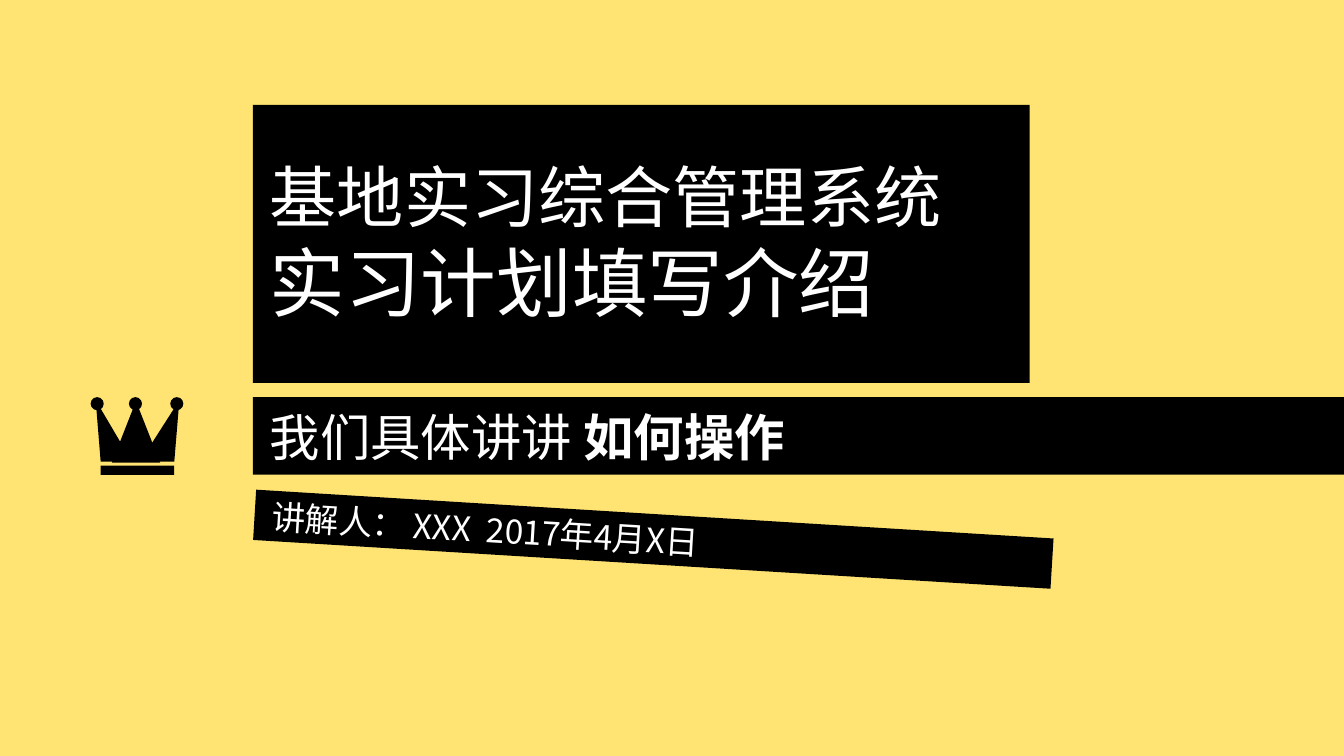
from lxml.etree import SubElement
from pptx import Presentation
from pptx.dml.color import RGBColor
from pptx.enum.shapes import MSO_SHAPE
from pptx.enum.text import MSO_ANCHOR, PP_ALIGN
from pptx.oxml.ns import qn
from pptx.util import Inches, Pt

COLORS = {"yellow": "FFE473", "black": "000000", "white": "FFFFFF"}
FONT = "Noto Sans CJK SC"


def paint_black(s):
    s.shadow.inherit = False
    s.fill.solid()
    s.fill.fore_color.rgb = RGBColor.from_string(COLORS["black"])
    s.line.fill.background()
    return s


def add_run(p, text, size, bold=False):
    p.alignment = PP_ALIGN.LEFT
    r = p.add_run()
    r.text = text
    r.font.size = Pt(size)
    r.font.bold = bold
    r.font.name = FONT
    r.font.color.rgb = RGBColor.from_string(COLORS["white"])
    SubElement(r.font._element, qn("a:ea")).set("typeface", FONT)


prs = Presentation()
prs.slide_width = Inches(13.34)
prs.slide_height = Inches(7.5)
slide = prs.slides.add_slide(prs.slide_layouts[6])
slide.background.fill.solid()
slide.background.fill.fore_color.rgb = RGBColor.from_string(COLORS["yellow"])

crown = slide.shapes.add_group_shape().shapes
paint_black(crown.add_shape(MSO_SHAPE.ISOSCELES_TRIANGLE,
                            Inches(1.11), Inches(3.98), Inches(0.48), Inches(0.61)))
for base, tip, inner in [(1, 0.95, 1.31), (1.73, 1.78, 1.39)]:
    fb = crown.build_freeform(Inches(base), Inches(4.58))
    fb.add_line_segments([(Inches(tip), Inches(3.97)), (Inches(inner), Inches(4.58))])
    paint_black(fb.convert_to_shape())
for x in [0.9, 1.28, 1.69]:
    paint_black(crown.add_shape(MSO_SHAPE.OVAL,
                                Inches(x), Inches(3.94), Inches(0.13), Inches(0.13)))
paint_black(crown.add_shape(MSO_SHAPE.RECTANGLE,
                            Inches(1), Inches(4.62), Inches(0.73), Inches(0.09)))

bars = []
for x, y, w, h in [(2.51, 1.04, 7.71, 2.76), (2.51, 3.94, 10.83, 0.77), (2.52, 5.1, 7.93, 0.5)]:
    bars.append(paint_black(slide.shapes.add_shape(
        MSO_SHAPE.RECTANGLE, Inches(x), Inches(y), Inches(w), Inches(h))))

speaker = bars[-1]
speaker.rotation = 3.5
tf = speaker.text_frame
tf.word_wrap = True
tf.vertical_anchor = MSO_ANCHOR.MIDDLE
add_run(tf.paragraphs[0], " 讲解人： XXX  2017年4月X日", 24)

title = slide.shapes.add_textbox(Inches(2.58), Inches(1.49), Inches(8.15), Inches(2.7))
tf = title.text_frame
tf.word_wrap = True
add_run(tf.paragraphs[0], "基地实习综合管理系统", 48)
add_run(tf.add_paragraph(), "实习计划填写介绍", 54)

subtitle = slide.shapes.add_textbox(Inches(2.58), Inches(3.98), Inches(6.93), Inches(0.7))
tf = subtitle.text_frame
tf.word_wrap = True
add_run(tf.paragraphs[0], "我们具体讲讲 ", 36)
add_run(tf.paragraphs[0], "如何操作", 36, bold=True)

prs.save("out.pptx")
